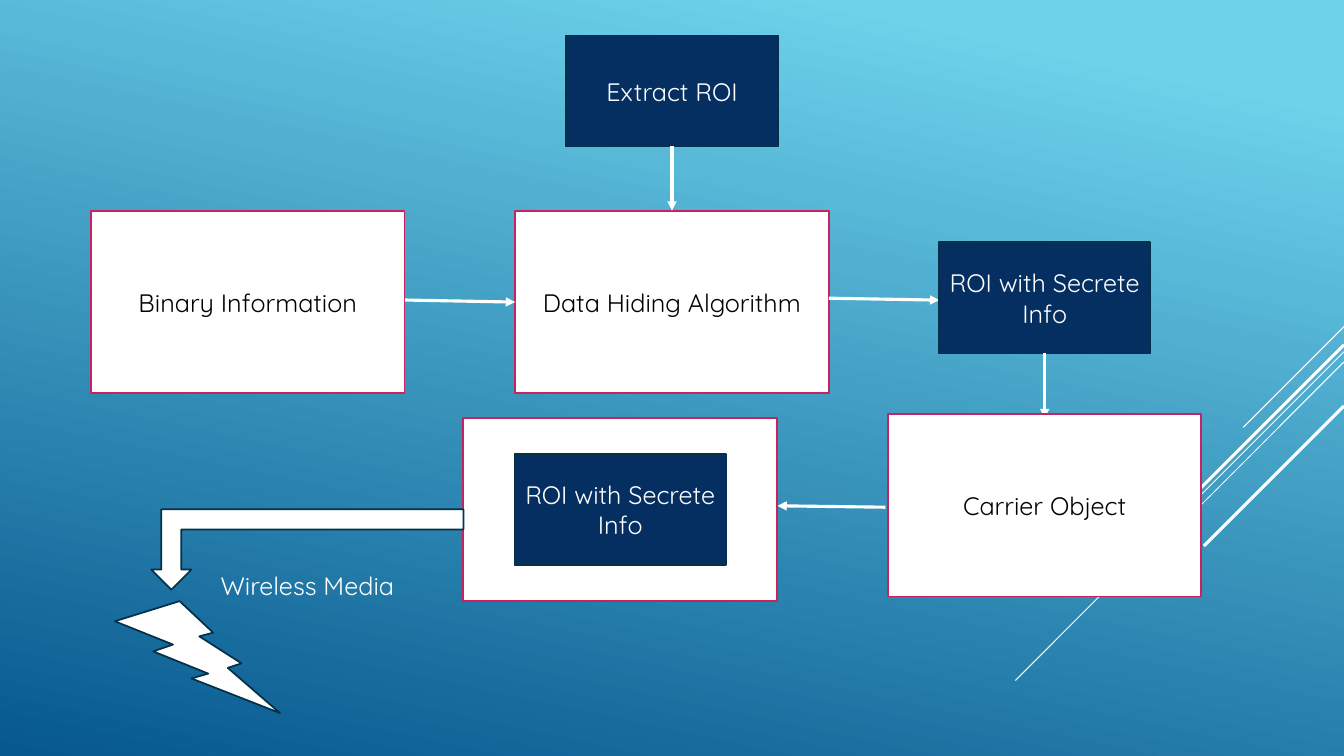
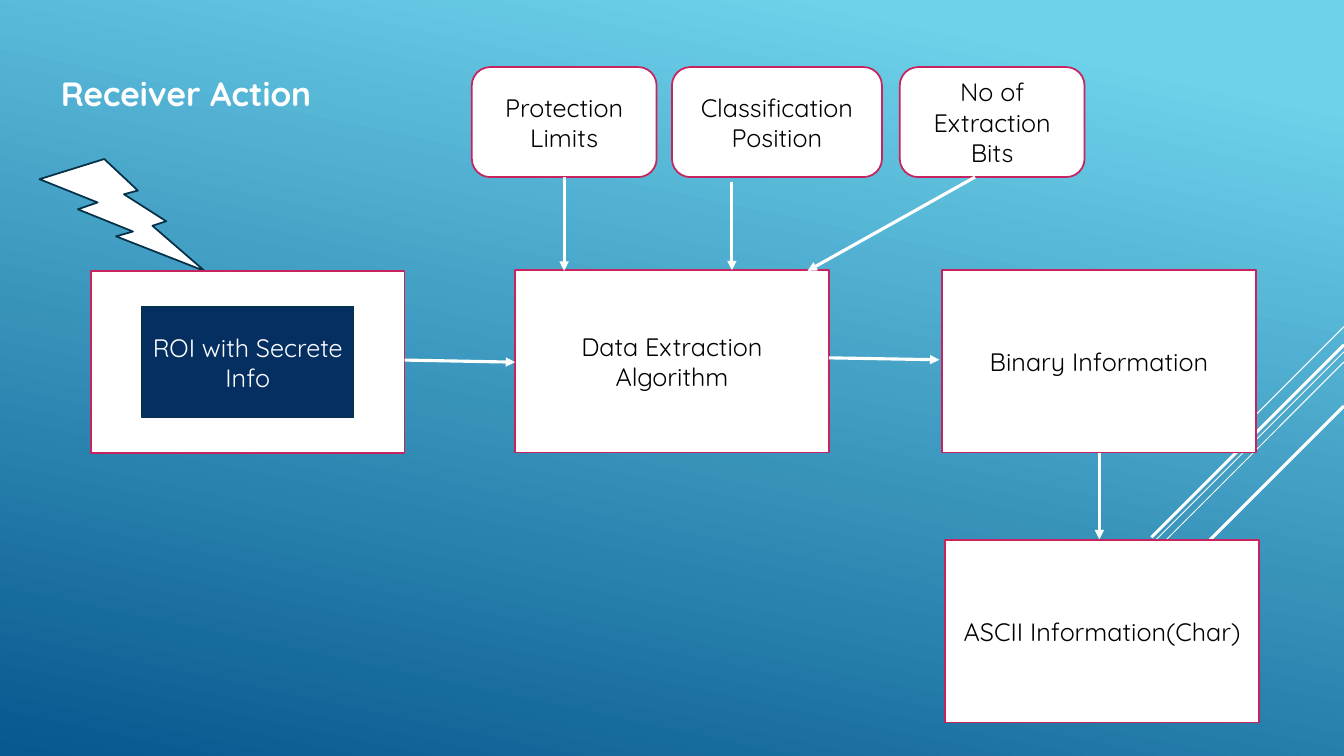
from dataclasses import dataclass

from lxml import etree
from pptx import Presentation
from pptx.dml.color import RGBColor
from pptx.enum.shapes import MSO_CONNECTOR, MSO_SHAPE
from pptx.enum.text import MSO_ANCHOR, MSO_AUTO_SIZE, PP_ALIGN
from pptx.oxml.ns import qn
from pptx.util import Pt

RECTANGLE = MSO_SHAPE.RECTANGLE
ROUNDED = MSO_SHAPE.ROUNDED_RECTANGLE
BOLT = MSO_SHAPE.LIGHTNING_BOLT
BENT_ARROW = MSO_SHAPE.BENT_UP_ARROW
STRAIGHT = MSO_CONNECTOR.STRAIGHT
MIDDLE = MSO_ANCHOR.MIDDLE
FIXED_SIZE = MSO_AUTO_SIZE.NONE
LEFT, CENTER = PP_ALIGN.LEFT, PP_ALIGN.CENTER
TITLE_ONLY_LAYOUT, BLANK_LAYOUT = 5, 6


@dataclass(frozen=True)
class Theme:
    white: RGBColor = RGBColor(0xFF, 0xFF, 0xFF)
    black: RGBColor = RGBColor(0, 0, 0)
    navy: RGBColor = RGBColor(0x05, 0x2F, 0x61)
    outline: RGBColor = RGBColor(0x04, 0x31, 0x48)
    crimson: RGBColor = RGBColor(0xC6, 0x23, 0x5F)
    sky: RGBColor = RGBColor(0x6E, 0xD2, 0xEB)
    ocean: RGBColor = RGBColor(0x06, 0x58, 0x8E)
    font: str = "Quicksand"
    title_size: float = 24
    body_size: float = 18
    border: float = 1.25
    thin: float = 0.75
    thick: float = 2.25


class Deck:
    """Holds the style, the presentation and the slide being drawn."""

    WIDTH, HEIGHT = 960, 540
    STEP_SIZE = (224, 130.4)
    ROI_SIZE = (151, 79.4)
    BOLT_SIZE = (118, 80)

    def __init__(self, theme):
        self.theme = theme
        self.presentation = Presentation()
        self.presentation.slide_width = Pt(self.WIDTH)
        self.presentation.slide_height = Pt(self.HEIGHT)
        self.slide = None
        self.paint_background()

    def paint_background(self):
        fill = self.presentation.slide_master.background.fill
        fill.gradient()
        fill.gradient_angle = 360 - 102
        stops = ((0.1, self.theme.sky), (1, self.theme.ocean))
        for stop, (position, color) in zip(fill.gradient_stops, stops):
            stop.position = position
            stop.color.rgb = color

    def add_slide(self, title=None):
        layout = TITLE_ONLY_LAYOUT if title else BLANK_LAYOUT
        self.slide = self.presentation.slides.add_slide(
            self.presentation.slide_layouts[layout])
        self.diagonals()
        if title:
            self.title(title)

    def diagonals(self):
        """Draw the 45-degree strokes that leave the right edge."""
        thin, thick = self.theme.thin, self.theme.thick
        strokes = ((233.3, 72, thin), (251.3, 234.7, thin), (258.6, 149, thin),
                   (246.3, 137.5, thick), (290, 100, thick))
        for top, run, weight in strokes:
            self.line((self.WIDTH, top), (self.WIDTH - run, top + run), weight)

    def title(self, text):
        placeholder = self.slide.shapes.title
        placeholder.left, placeholder.top = Pt(36.2), Pt(48.2)
        placeholder.width, placeholder.height = Pt(204.5), Pt(36.4)
        frame = placeholder.text_frame
        frame.auto_size = FIXED_SIZE
        frame.vertical_anchor = MIDDLE
        self.set_text(frame, text, self.theme.white, LEFT, self.theme.title_size)
        frame.paragraphs[0].font.bold = True

    def set_text(self, frame, text, color, alignment, size):
        frame.text = text
        paragraph = frame.paragraphs[0]
        paragraph.alignment = alignment
        paragraph.font.name = self.theme.font
        paragraph.font.size = Pt(size)
        paragraph.font.color.rgb = color

    def shape(self, kind, left, top, size, fill, border):
        shape = self.slide.shapes.add_shape(
            kind, Pt(left), Pt(top), Pt(size[0]), Pt(size[1]))
        shape.shadow.inherit = False
        shape.fill.solid()
        shape.fill.fore_color.rgb = fill
        shape.line.color.rgb = border
        shape.line.width = Pt(self.theme.border)
        return shape

    def box(self, center, size, text, fill, border, color, kind=RECTANGLE):
        left, top = center[0] - size[0] / 2, center[1] - size[1] / 2
        shape = self.shape(kind, left, top, size, fill, border)
        if text:
            frame = shape.text_frame
            frame.vertical_anchor = MIDDLE
            self.set_text(frame, text, color, CENTER, self.theme.body_size)

    def step(self, center, text="", size=STEP_SIZE, kind=RECTANGLE):
        theme = self.theme
        self.box(center, size, text, theme.white, theme.crimson, theme.black, kind)

    def roi(self, center, text="ROI with Secrete Info"):
        theme = self.theme
        self.box(center, self.ROI_SIZE, text, theme.navy, theme.outline, theme.white)

    def packet(self, center):
        """Draw a carrier box with the region of interest inside it."""
        self.step(center)
        self.roi(center)

    def symbol(self, kind, left, top, size, rotation=0):
        shape = self.shape(kind, left, top, size, self.theme.white, self.theme.outline)
        shape.rotation = rotation

    def bolt(self, left, top):
        self.symbol(BOLT, left, top, self.BOLT_SIZE)

    def label(self, left, top, width, height, text):
        box = self.slide.shapes.add_textbox(Pt(left), Pt(top), Pt(width), Pt(height))
        frame = box.text_frame
        frame.word_wrap = False
        self.set_text(frame, text, self.theme.white, LEFT, self.theme.body_size)

    def line(self, start, end, weight):
        connector = self.slide.shapes.add_connector(
            STRAIGHT, *(Pt(value) for value in (*start, *end)))
        connector.line.color.rgb = self.theme.white
        connector.line.width = Pt(weight)
        etree.SubElement(connector.element.spPr, qn("a:effectLst"))
        return connector

    def arrow(self, start, end):
        connector = self.line(start, end, self.theme.thick)
        outline = connector.element.spPr.find(qn("a:ln"))
        etree.SubElement(outline, qn("a:tailEnd"), type="triangle")


def sender_slide(deck):
    deck.add_slide()
    deck.step((177, 215.7), "Binary Information")
    deck.roi((480, 65), "Extract ROI")
    deck.step((480, 215.7), "Data Hiding Algorithm")
    deck.arrow((480, 104.5), (480, 150.5))
    deck.arrow((289.2, 214.3), (368, 215.8))
    deck.arrow((592, 213), (671, 214.4))
    deck.roi((746.2, 212.8))
    deck.arrow((746.2, 252.5), (746.2, 298.8))
    deck.step((746.2, 361), "Carrier Object")
    deck.arrow((632.5, 362.3), (555.3, 361.3))
    deck.packet((443, 364))
    deck.symbol(BENT_ARROW, 108, 363.8, (223, 57.4), rotation=180)
    deck.bolt(82, 429.4)
    deck.label(150.5, 404, 144.7, 29, "Wireless Media")


def receiver_slide(deck):
    deck.add_slide("Receiver Action")
    deck.bolt(28.2, 113.6)
    deck.packet((177, 258.6))
    deck.step((480, 258), "Data Extraction Algorithm")
    deck.arrow((289, 257.2), (368, 258.7))
    settings = ((403, 132, "Protection Limits"),
                (555, 150, "Classification Position"),
                (708.7, 132, "No of Extraction Bits"))
    for center, width, text in settings:
        deck.step((center, 87.2), text, (width, 78.6), ROUNDED)
    deck.arrow((403, 126.5), (403, 193.5))
    deck.arrow((522.8, 130), (522.8, 193))
    deck.arrow((696.5, 126.5), (576.8, 193.5))
    deck.arrow((592, 255.6), (671, 257))
    deck.step((785, 258), "Binary Information")
    deck.arrow((785.3, 323.3), (785.3, 385.3))
    deck.step((787.3, 451), "ASCII Information(Char)")


def main():
    deck = Deck(Theme())
    sender_slide(deck)
    receiver_slide(deck)
    deck.presentation.save("out.pptx")


if __name__ == "__main__":
    main()
